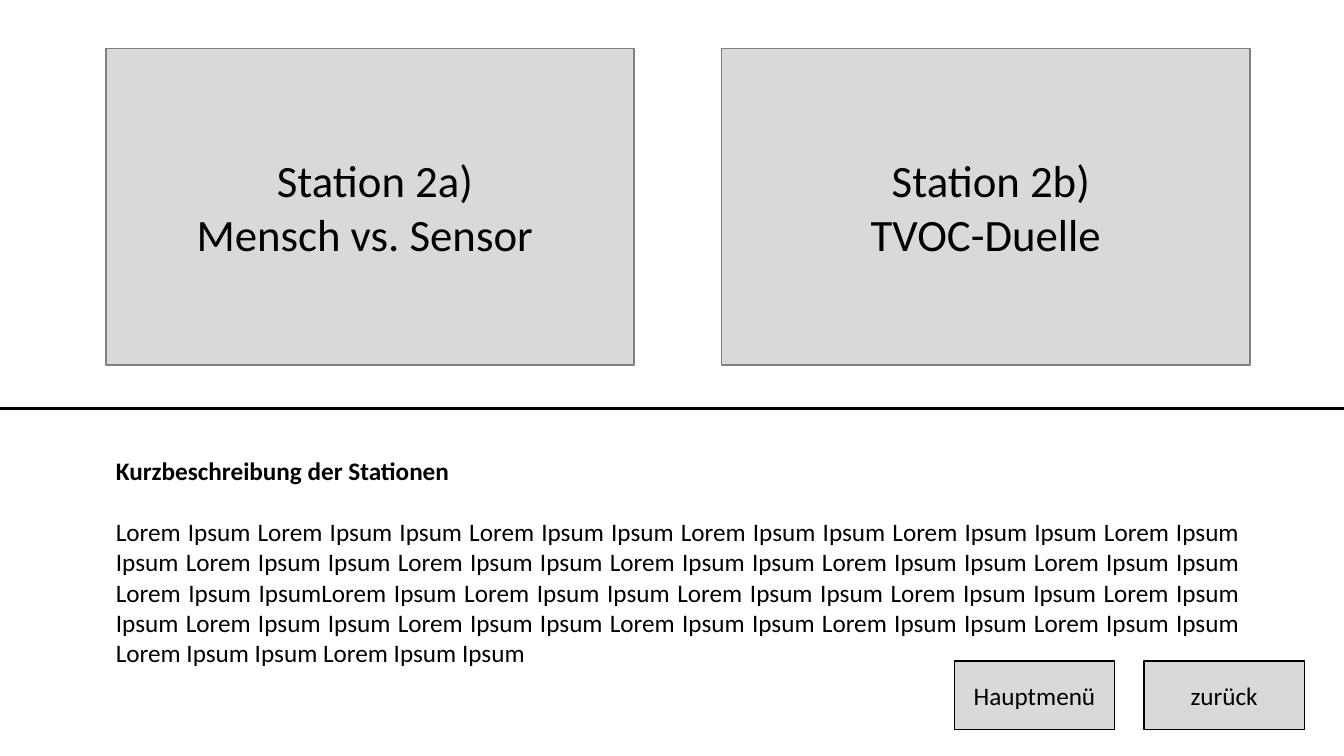
from pptx import Presentation, util as u
from pptx.dml.color import RGBColor
from pptx.enum import shapes, text
from pptx.oxml.ns import qn
from lxml import etree

BLACK = RGBColor(0x00, 0x00, 0x00)
GRAY = RGBColor(0x80, 0x80, 0x80)
LIGHT = RGBColor(0xD9, 0xD9, 0xD9)

deck = Presentation()
deck.slide_width, deck.slide_height = u.Cm(33.87), u.Cm(19.05)
slide = deck.slides.add_slide(deck.slide_layouts[6])


def style(frame, size, align):
    for para in frame.paragraphs:
        para.alignment = align
        for run in para.runs:
            run.font.size = u.Pt(size)
            run.font.name = "Calibri"
            run.font.color.rgb = BLACK


def add_box(words, left, top, width, height, edge, size):
    box = slide.shapes.add_shape(
        shapes.MSO_SHAPE.RECTANGLE,
        u.Cm(left), u.Cm(top), u.Cm(width), u.Cm(height))
    box.shadow.inherit = False
    box.fill.solid()
    box.fill.fore_color.rgb = LIGHT
    box.line.color.rgb = edge
    box.line.width = u.Pt(1)
    box.text_frame.text = words
    box.text_frame.vertical_anchor = text.MSO_ANCHOR.MIDDLE
    style(box.text_frame, size, text.PP_ALIGN.CENTER)


# Station tiles
tiles = [" Station 2a)\nMensch vs. Sensor ", " Station 2b)\nTVOC-Duelle"]
for i, words in enumerate(tiles):
    add_box(words, 2.67 + i * 15.52, 1.22, 13.31, 7.98, GRAY, 32)

# Dividing line
rule = slide.shapes.add_connector(
    shapes.MSO_CONNECTOR.STRAIGHT, 0, u.Cm(10.29), deck.slide_width, u.Cm(10.29))
rule.line.color.rgb = BLACK
rule.line.width = u.Pt(2)
etree.SubElement(rule.element.spPr, qn("a:effectLst"))

# Short description
block = "Lorem Ipsum" + " Lorem Ipsum Ipsum" * 11
note = slide.shapes.add_textbox(u.Cm(2.67), u.Cm(11.35), u.Cm(28.83), u.Cm(6.4))
frame = note.text_frame
frame.word_wrap = True
frame.text = "Kurzbeschreibung der Stationen\n" + block * 2
style(frame, 18, text.PP_ALIGN.JUSTIFY)
head = frame.paragraphs[0]
head.space_after = u.Pt(22)
head.runs[0].font.bold = True

# Navigation buttons
for i, words in enumerate(["Hauptmenü", "zurück"]):
    add_box(words, 24.05 + i * 4.78, 16.66, 4.04, 1.73, BLACK, 18)

deck.save("out.pptx")
